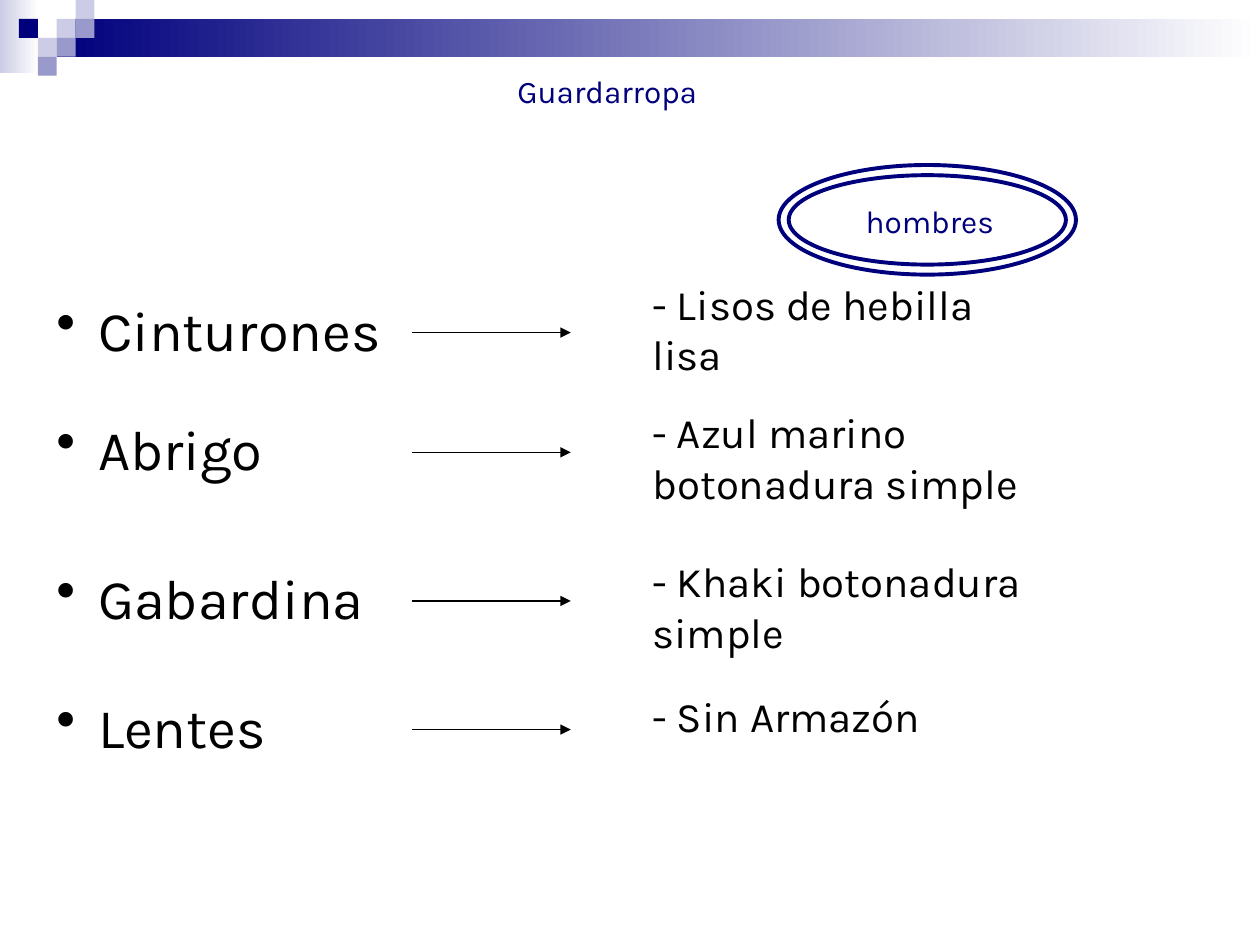
import pptx
import pptx.util
import pptx.dml.color
import pptx.enum.shapes
import pptx.enum.text
import pptx.oxml
import pptx.oxml.ns
from lxml import etree

Inches = pptx.util.Inches
Pt = pptx.util.Pt
SHAPE = pptx.enum.shapes.MSO_SHAPE
ANCHOR = pptx.enum.text.MSO_ANCHOR
ALIGN = pptx.enum.text.PP_ALIGN
FONT = "Karla"
NAVY, LILAC, VIOLET, WHITE, BLACK = "00007D", "CCCCE6", "9999CC", "FFFFFF", "000000"

# item, its detail, top of the item box, top of the detail box
ROWS = [
    ("Cinturones", "- Lisos de hebilla lisa", 1.86, 1.86),
    ("Abrigo", "- Azul marino botonadura simple", 2.81, 2.88),
    ("Gabardina", "- Khaki botonadura simple", 3.99, 4.06),
    ("Lentes", "- Sin Armazón", 5.01, 4.93),
]


def rgb(value):
    return pptx.dml.color.RGBColor.from_string(value)


def add_child(parent, tag, **attributes):
    return etree.SubElement(parent, pptx.oxml.ns.qn(tag), **attributes)


def add_block(s, box, colour, fade_to=None):
    block = s.shapes.add_shape(SHAPE.RECTANGLE, *map(Inches, box))
    block.shadow.inherit = False
    block.line.fill.background()
    if fade_to:
        block.fill.gradient()
        block.fill.gradient_angle = 0
        for stop, stop_colour in zip(block.fill.gradient_stops, (colour, fade_to)):
            stop.color.rgb = rgb(stop_colour)
            
    else:
        block.fill.solid()
        block.fill.fore_color.rgb = rgb(colour)


def set_text(shape, text, size, colour, align=ALIGN.LEFT, anchor=ANCHOR.MIDDLE, wrap=True):
    tf = shape.text_frame
    tf.text = text
    tf.word_wrap = wrap
    tf.auto_size = pptx.enum.text.MSO_AUTO_SIZE.NONE
    tf.vertical_anchor = anchor
    p = tf.paragraphs[0]
    p.alignment = align
    font = p.runs[0].font
    font.name, font.size, font.color.rgb = FONT, Pt(size), rgb(colour)
    return p


def add_bullet(p, indent):
    pPr = p._p.get_or_add_pPr()
    pPr.set("marL", str(Inches(indent)))
    pPr.set("indent", str(-Inches(indent)))
    add_child(add_child(pPr, "a:buClr"), "a:srgbClr", val=BLACK)
    add_child(pPr, "a:buChar", char="•")


def add_arrow(s, x1, x2, y):
    arrow = s.shapes.add_connector(
        pptx.enum.shapes.MSO_CONNECTOR.STRAIGHT, Inches(x1), Inches(y), Inches(x2), Inches(y))
    arrow.line.color.rgb = rgb(BLACK)
    arrow.line.width = Pt(0.75)
    add_child(arrow.line._get_or_add_ln(), "a:tailEnd", type="triangle")
    add_child(arrow._element.spPr, "a:effectLst")


def add_banner(s, width):
    # Fading bars
    add_block(s, (0, 0, 0.31, 0.58), LILAC, WHITE)
    add_block(s, (0.45, 0.15, width - 0.45, 0.3), NAVY, WHITE)
    # Mosaic of squares, by column and row
    side = 0.15
    for column, row, colour in [(3, 1, LILAC), (4, 0, LILAC), (4, 1, VIOLET), (2, 2, LILAC),
                                (1, 1, NAVY), (3, 2, VIOLET), (2, 3, VIOLET)]:
        add_block(s, (column * side, row * side, side, side), colour)


def add_title(s, box):
    title = s.shapes.title
    title.left, title.top, title.width, title.height = map(Inches, box)
    set_text(title, "Guardarropa", 18, NAVY, ALIGN.CENTER, ANCHOR.TOP, wrap=False)


def add_badge(s, box, text):
    left, top, width, height = box
    # Double ring
    for inset in (0, 0.08):
        ring = s.shapes.add_shape(
            SHAPE.OVAL, Inches(left + inset), Inches(top + inset),
            Inches(width - 2 * inset), Inches(height - 2 * inset))
        ring.shadow.inherit = False
        ring.fill.background()
        ring.line.color.rgb = rgb(NAVY)
        ring.line.width = Pt(2.25)
    # Caption
    caption = s.shapes.add_textbox(
        Inches(left + 0.43), Inches(top + 0.24), Inches(1.54), Inches(0.39))
    set_text(caption, text, 18, NAVY, ALIGN.CENTER, ANCHOR.TOP, wrap=False)


def add_rows(s, left, detail_left):
    size = Inches(3.23), Inches(1.5)
    for item, detail, top, detail_top in ROWS:
        label = s.shapes.add_textbox(Inches(left), Inches(top), *size)
        add_bullet(set_text(label, item, 32, BLACK), 0.33)
        add_arrow(s, left + 2.92, left + 4.18, top + 0.78)
        note = s.shapes.add_textbox(Inches(detail_left), Inches(detail_top), *size)
        set_text(note, detail, 24, BLACK)


def main():
    prs = pptx.Presentation()
    prs.slide_width, prs.slide_height = Inches(10), Inches(7.5)
    s = prs.slides.add_slide(prs.slide_layouts[5])
    add_banner(s, 10)
    add_title(s, (2.2, 0.52, 5.24, 0.94))
    add_badge(s, (6.18, 1.31, 2.36, 0.87), "hombres")
    add_rows(s, 0.35, 5.08)
    prs.save("out.pptx")


if __name__ == "__main__":
    main()
